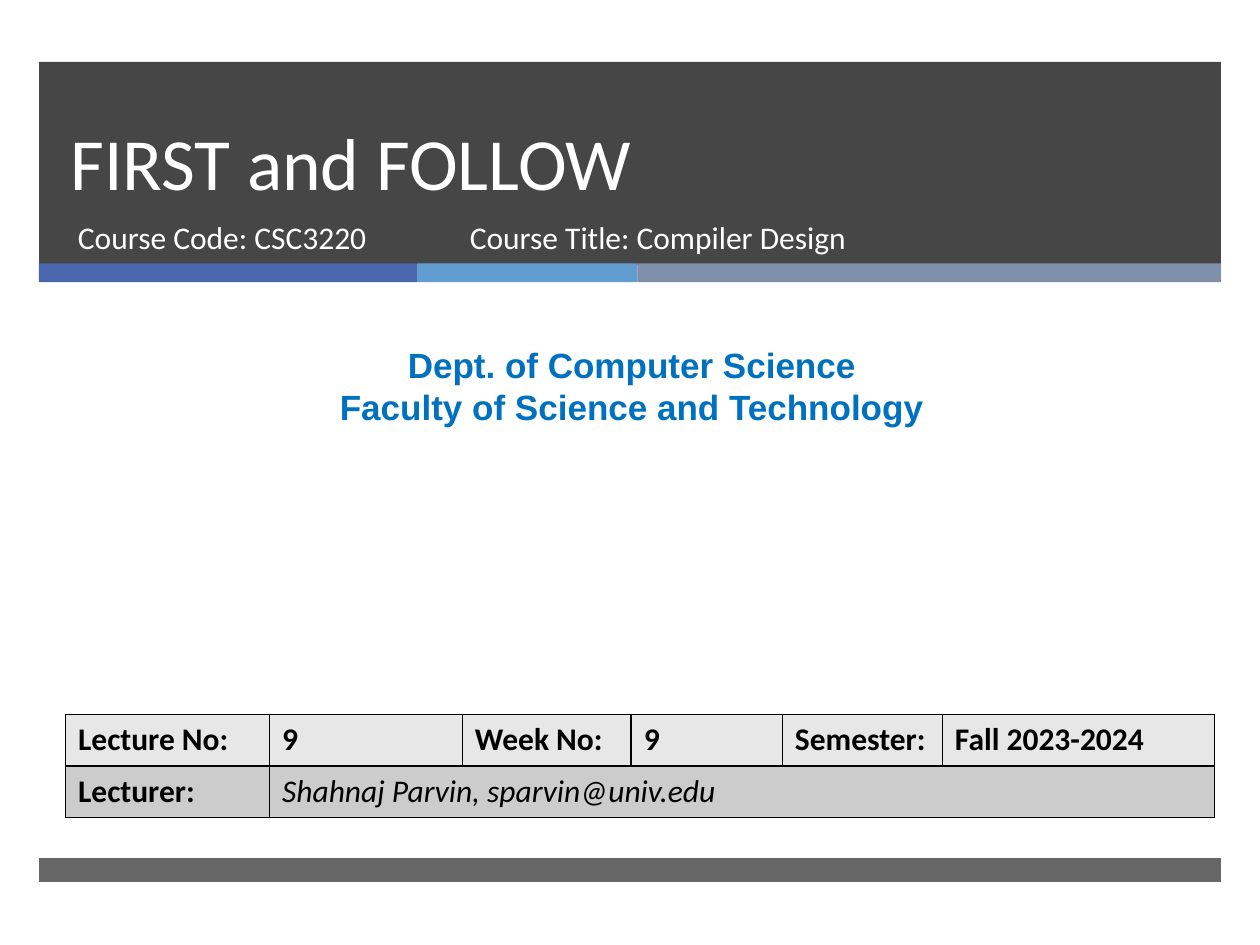
"""Build the title slide of the FIRST and FOLLOW lecture."""
from dataclasses import dataclass

import lxml.etree
import pptx
import pptx.dml.color
import pptx.enum.shapes
import pptx.enum.text
import pptx.oxml.ns
import pptx.util
from pptx.util import Inches

RGBColor = pptx.dml.color.RGBColor
Align = pptx.enum.text.PP_ALIGN
Anchor = pptx.enum.text.MSO_ANCHOR
qn = pptx.oxml.ns.qn

CHARCOAL = RGBColor(0x26, 0x26, 0x26)
INDIGO = RGBColor(0x4A, 0x66, 0xAC)
SKY = RGBColor(0x62, 0x9D, 0xD1)
SLATE = RGBColor(0x7F, 0x8F, 0xA9)
WHITE = RGBColor(0xFF, 0xFF, 0xFF)
BLACK = RGBColor(0, 0, 0)
BLUE = RGBColor(0x00, 0x70, 0xC0)
LIGHT_GREY = RGBColor(0xE7, 0xE7, 0xE7)
MID_GREY = RGBColor(0xCC, 0xCC, 0xCC)

LEFT_EDGE = 0.31


@dataclass(frozen=True)
class Band:
    left: float
    top: float
    width: float
    height: float
    color: RGBColor
    opacity: int = 100


@dataclass(frozen=True)
class Style:
    size: int
    color: RGBColor
    font: str = "Calibri"
    bold: bool = False
    italic: bool = False


@dataclass(frozen=True)
class Caption:
    left: float
    top: float
    width: float
    height: float
    lines: tuple[str, ...]
    style: Style
    align: Align = Align.LEFT
    anchor: Anchor = Anchor.TOP
    line_points: int | None = None


COURSE = Style(18, WHITE)
LABEL = Style(18, BLACK, bold=True)
LECTURER = Style(18, BLACK, italic=True)

STRIPES = ((3, INDIGO), (1.75, SKY), (4.63, SLATE))
HEADER = Band(LEFT_EDGE, 0.49, 9.38, 1.61, CHARCOAL, 85)
FOOTER = Band(LEFT_EDGE, 6.81, 9.38, 0.19, CHARCOAL, 70)

CAPTIONS = (
    Caption(0.46, 0.49, 8.54, 1.19, ("FIRST and FOLLOW",), Style(42, WHITE),
            anchor=Anchor.BOTTOM, line_points=46),
    Caption(0.52, 1.68, 3.05, 0.53, ("Course Code: CSC3220",), COURSE),
    Caption(0.08, 2.68, 9.87, 0.77,
            ("Dept. of Computer Science", "Faculty of Science and Technology"),
            Style(20, BLUE, "Arial", bold=True), Align.CENTER),
    Caption(3.63, 1.68, 4.55, 0.53, ("Course Title: Compiler Design",), COURSE),
)

COLUMN_WIDTHS = (1.62, 1.53, 1.34, 1.2, 1.27, 2.16)
ROW_HEIGHT = 0.41
LECTURE_ROW = ("Lecture No:", "9", "Week No:", "9", "Semester:", "Fall 2023-2024")
LECTURER_ROW = ("Lecturer:", "Shahnaj Parvin, sparvin@univ.edu")


def add_band(slide, band: Band) -> None:
    bar = slide.shapes.add_shape(
        pptx.enum.shapes.MSO_SHAPE.RECTANGLE, Inches(band.left), Inches(band.top),
        Inches(band.width), Inches(band.height))
    bar.shadow.inherit = False
    bar.line.fill.background()
    bar.fill.solid()
    bar.fill.fore_color.rgb = band.color
    if band.opacity < 100:
        color = bar.fill._xPr.find(qn("a:solidFill"))[0]
        lxml.etree.SubElement(color, qn("a:alpha"), val=str(band.opacity * 1000))


def add_run(paragraph, text: str, style: Style) -> None:
    run = paragraph.add_run()
    run.text = text
    run.font.name = style.font
    run.font.size = pptx.util.Pt(style.size)
    run.font.bold = style.bold
    run.font.italic = style.italic
    run.font.color.rgb = style.color


def add_caption(slide, caption: Caption) -> None:
    frame = slide.shapes.add_textbox(
        Inches(caption.left), Inches(caption.top),
        Inches(caption.width), Inches(caption.height)).text_frame
    frame.word_wrap = True
    frame.vertical_anchor = caption.anchor
    for index, line in enumerate(caption.lines):
        paragraph = frame.add_paragraph() if index else frame.paragraphs[0]
        paragraph.alignment = caption.align
        if caption.line_points:
            paragraph.line_spacing = pptx.util.Pt(caption.line_points)
        add_run(paragraph, line, caption.style)


def format_cell(cell, fill: RGBColor) -> None:
    properties = cell._tc.get_or_add_tcPr()
    for side in ("a:lnL", "a:lnR", "a:lnT", "a:lnB"):
        border = lxml.etree.SubElement(properties, qn(side), w=str(pptx.util.Pt(1)))
        solid = lxml.etree.SubElement(border, qn("a:solidFill"))
        lxml.etree.SubElement(solid, qn("a:srgbClr"), val=str(BLACK))
    cell.fill.solid()
    cell.fill.fore_color.rgb = fill


def add_lecture_table(slide) -> None:
    table = slide.shapes.add_table(
        2, len(COLUMN_WIDTHS), Inches(0.52), Inches(5.67),
        Inches(sum(COLUMN_WIDTHS)), Inches(2 * ROW_HEIGHT)).table
    table.first_row = False
    table.horz_banding = False
    for column, width in zip(table.columns, COLUMN_WIDTHS):
        column.width = Inches(width)
    for row, fill in zip(table.rows, (LIGHT_GREY, MID_GREY)):
        row.height = Inches(ROW_HEIGHT)
        for cell in row.cells:
            format_cell(cell, fill)
    table.cell(1, 1).merge(table.cell(1, len(COLUMN_WIDTHS) - 1))
    for row_index, texts in enumerate((LECTURE_ROW, LECTURER_ROW)):
        for column_index, text in enumerate(texts):
            style = LECTURER if (row_index, column_index) == (1, 1) else LABEL
            paragraph = table.cell(row_index, column_index).text_frame.paragraphs[0]
            add_run(paragraph, text, style)


def main() -> None:
    deck = pptx.Presentation()
    deck.slide_width, deck.slide_height = Inches(10), Inches(7.5)
    slide = deck.slides.add_slide(deck.slide_layouts[6])
    add_band(slide, HEADER)
    stripe_left = LEFT_EDGE
    for width, color in STRIPES:
        add_band(slide, Band(stripe_left, 2.09, width, 0.15, color))
        stripe_left += width
    add_band(slide, FOOTER)
    for caption in CAPTIONS:
        add_caption(slide, caption)
    add_lecture_table(slide)
    deck.save("out.pptx")


if __name__ == "__main__":
    main()
